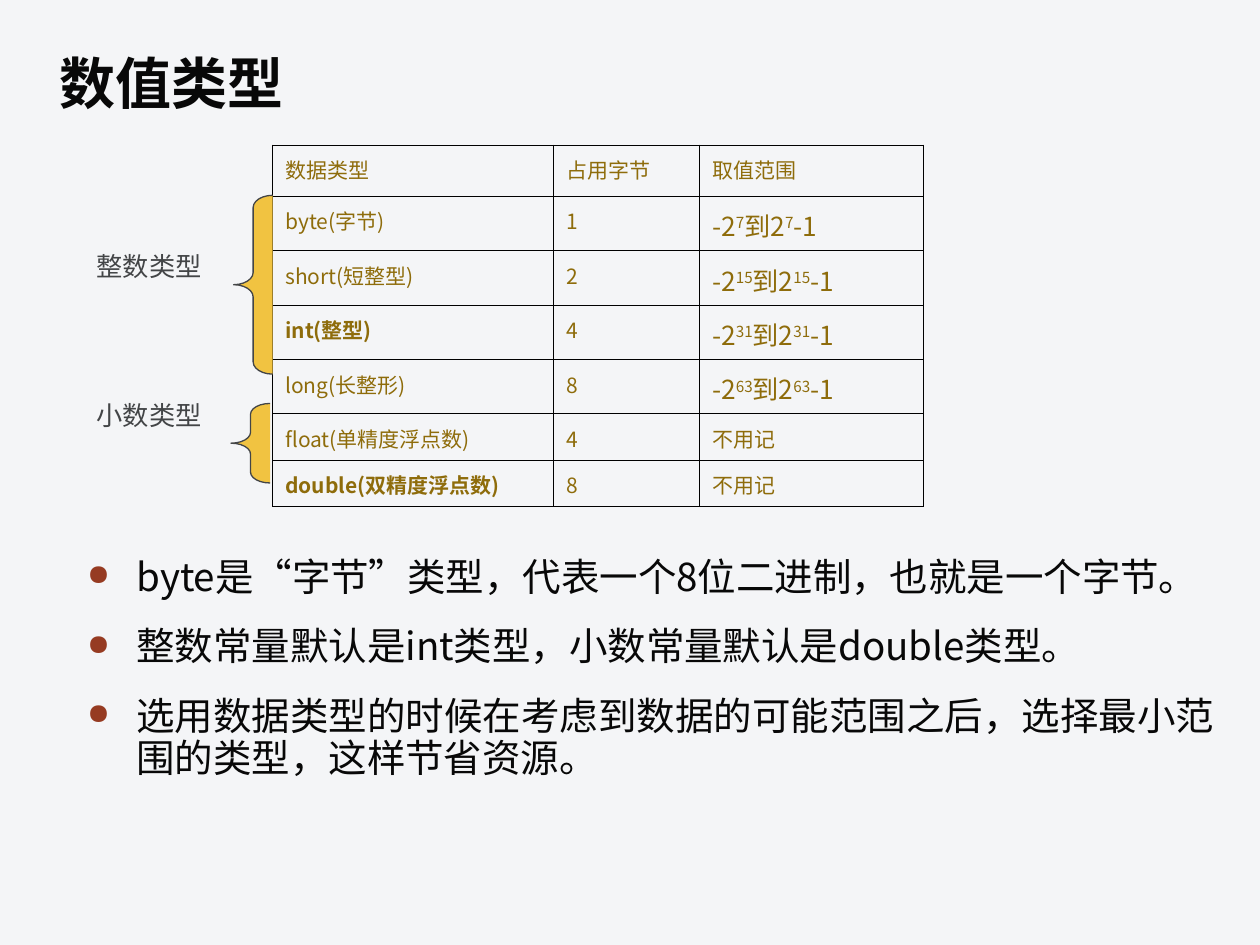
import dataclasses

import pptx
import pptx.dml.color
import pptx.enum.lang
import pptx.enum.shapes
import pptx.enum.text
import pptx.oxml
import pptx.oxml.ns
import pptx.util

Pt = pptx.util.Pt
CJK = "Noto Sans CJK SC"
INK, GREY, GOLD, OCHRE, RUST = "080808", "434547", "F1C341", "8E6C0B", "963B22"
BLACK, BACKGROUND = "000000", "F4F5F7"
ALIGN = pptx.enum.text.PP_ALIGN


@dataclasses.dataclass
class NumericType:
    name: str
    size: int
    exponent: str = ""
    bold: bool = False


@dataclasses.dataclass
class Group:
    label: str
    label_top: float
    brace_left: float
    brace_top: float
    brace_height: float
    curve: float


TYPES = [
    NumericType("byte(字节)", 1, "7"),
    NumericType("short(短整型)", 2, "15"),
    NumericType("int(整型)", 4, "31", bold=True),
    NumericType("long(长整形)", 8, "63"),
    NumericType("float(单精度浮点数)", 4),
    NumericType("double(双精度浮点数)", 8, bold=True),
]
GROUPS = [
    Group("整数类型", 139.7, 133.5, 111.6, 102.2, 0.313),
    Group("小数类型", 224.6, 132, 230.6, 45.4, 0.277),
]
NOTES = [
    "byte是“字节”类型，代表一个8位二进制，也就是一个字节。",
    "整数常量默认是int类型，小数常量默认是double类型。",
    "选用数据类型的时候在考虑到数据的可能范围之后，选择最小范围的类型，这样节省资源。",
]
HEADINGS = ["数据类型", "占用字节", "取值范围"]
COLUMN_WIDTHS = [160.6, 83.4, 128]
ROW_HEIGHTS = [29.2] + [31.1] * 4 + [26.5] * 2


def colour(value: str) -> pptx.dml.color.RGBColor:
    return pptx.dml.color.RGBColor.from_string(value)


def element(xml: str):
    declaration = pptx.oxml.ns.nsdecls("a")
    return pptx.oxml.parse_xml(xml.replace(" ", f" {declaration} ", 1))


def write(para, text: str, *, size: float, fill: str, font: str = CJK,
          bold: bool = False, raised: bool = False) -> None:
    span = para.add_run()
    span.text = text
    span.font.size = Pt(size)
    span.font.name = font
    span.font.bold = bold
    span.font.color.rgb = colour(fill)
    span.font.language_id = pptx.enum.lang.MSO_LANGUAGE_ID.SIMPLIFIED_CHINESE
    properties = span.font._element
    properties.append(element(f'<a:ea typeface="{CJK}"/>'))
    if raised:
        properties.set("baseline", "30000")


def add_box(page, left: float, top: float, width: float, height: float):
    box = page.shapes.add_textbox(Pt(left), Pt(top), Pt(width), Pt(height))
    box.text_frame.word_wrap = True
    return box.text_frame


def add_title(page, text: str) -> None:
    frame = add_box(page, 27, 22.5, 661, 53.3)
    frame.vertical_anchor = pptx.enum.text.MSO_ANCHOR.MIDDLE
    para = frame.paragraphs[0]
    para.line_spacing = 0.9
    write(para, text, size=32, fill=INK, bold=True)


def add_notes(page, notes: list[str]) -> None:
    frame = add_box(page, 42.7, 315.4, 658, 193)
    for index, note in enumerate(notes):
        para = frame.add_paragraph() if index else frame.paragraphs[0]
        para.alignment = ALIGN.JUSTIFY
        para.line_spacing = 0.9
        para.space_before = Pt(16)
        properties = para._p.get_or_add_pPr()
        properties.set("marL", str(Pt(28.2)))
        properties.set("indent", str(Pt(-28.2)))
        properties.set("hangingPunct", "0")
        properties.append(element(f'<a:buClr ><a:srgbClr val="{RUST}"/></a:buClr>'))
        properties.append(element('<a:buSzPct val="75000"/>'))
        properties.append(element('<a:buChar char="●"/>'))
        write(para, note, size=22, fill=INK)


def style_cell(cell) -> None:
    properties = cell._tc.get_or_add_tcPr()
    for side in "LRTB":
        properties.append(element(
            f'<a:ln{side} w="{Pt(0.5)}"><a:solidFill><a:srgbClr val="{BLACK}"/>'
            f'</a:solidFill></a:ln{side}>'))
    cell.fill.background()
    para = cell.text_frame.paragraphs[0]
    para.line_spacing = 1.1
    para.space_before = Pt(16)


def write_range(para, exponent: str) -> None:
    if not exponent:
        write(para, "不用记", size=12, fill=OCHRE)
        return
    for index, text in enumerate(["-2", exponent, "到2", exponent, "-1"]):
        write(para, text, size=15, fill=OCHRE, raised=index % 2 == 1)


def add_types(page, types: list[NumericType]) -> None:
    table = page.shapes.add_table(
        len(ROW_HEIGHTS), len(COLUMN_WIDTHS), Pt(155.8), Pt(82.9),
        Pt(sum(COLUMN_WIDTHS)), Pt(sum(ROW_HEIGHTS))).table
    table.first_row = False
    table.horz_banding = False
    for column, width in zip(table.columns, COLUMN_WIDTHS):
        column.width = Pt(width)
    for row, height in zip(table.rows, ROW_HEIGHTS):
        row.height = Pt(height)
    for cell in table.iter_cells():
        style_cell(cell)
    for index, heading in enumerate(HEADINGS):
        write(table.cell(0, index).text_frame.paragraphs[0], heading, size=12, fill=OCHRE)
    for index, kind in enumerate(types, 1):
        name, size, limits = (
            table.cell(index, column).text_frame.paragraphs[0] for column in range(3))
        write(name, kind.name, size=12, fill=OCHRE, bold=kind.bold)
        write(size, str(kind.size), size=12, fill=OCHRE)
        write_range(limits, kind.exponent)


def add_group(page, group: Group) -> None:
    brace = page.shapes.add_shape(
        pptx.enum.shapes.MSO_SHAPE.LEFT_BRACE, Pt(group.brace_left),
        Pt(group.brace_top), Pt(22.3), Pt(group.brace_height))
    brace.adjustments[0] = group.curve
    brace.shadow.inherit = False
    brace.fill.solid()
    brace.fill.fore_color.rgb = colour(GOLD)
    brace.line.color.rgb = colour(GREY)
    brace.line.width = Pt(0.75)
    frame = add_box(page, 48.2, group.label_top, 86, 25.2)
    write(frame.paragraphs[0], group.label, size=15, fill=GREY, font="Arial")


def main() -> None:
    deck = pptx.Presentation()
    deck.slide_width, deck.slide_height = Pt(720), Pt(540)
    page = deck.slides.add_slide(deck.slide_layouts[6])
    page.background.fill.solid()
    page.background.fill.fore_color.rgb = colour(BACKGROUND)
    add_title(page, "数值类型")
    add_notes(page, NOTES)
    add_types(page, TYPES)
    for group in GROUPS:
        add_group(page, group)
    deck.save("out.pptx")


if __name__ == "__main__":
    main()
